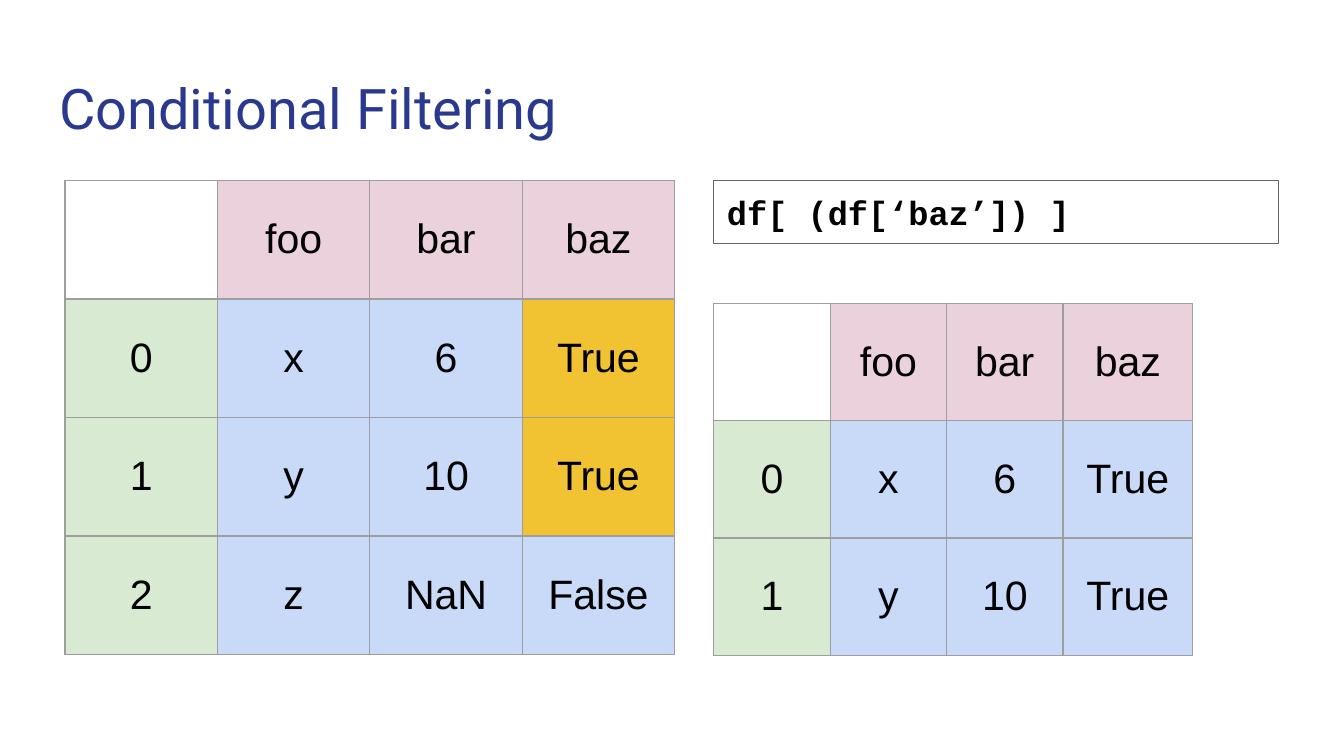
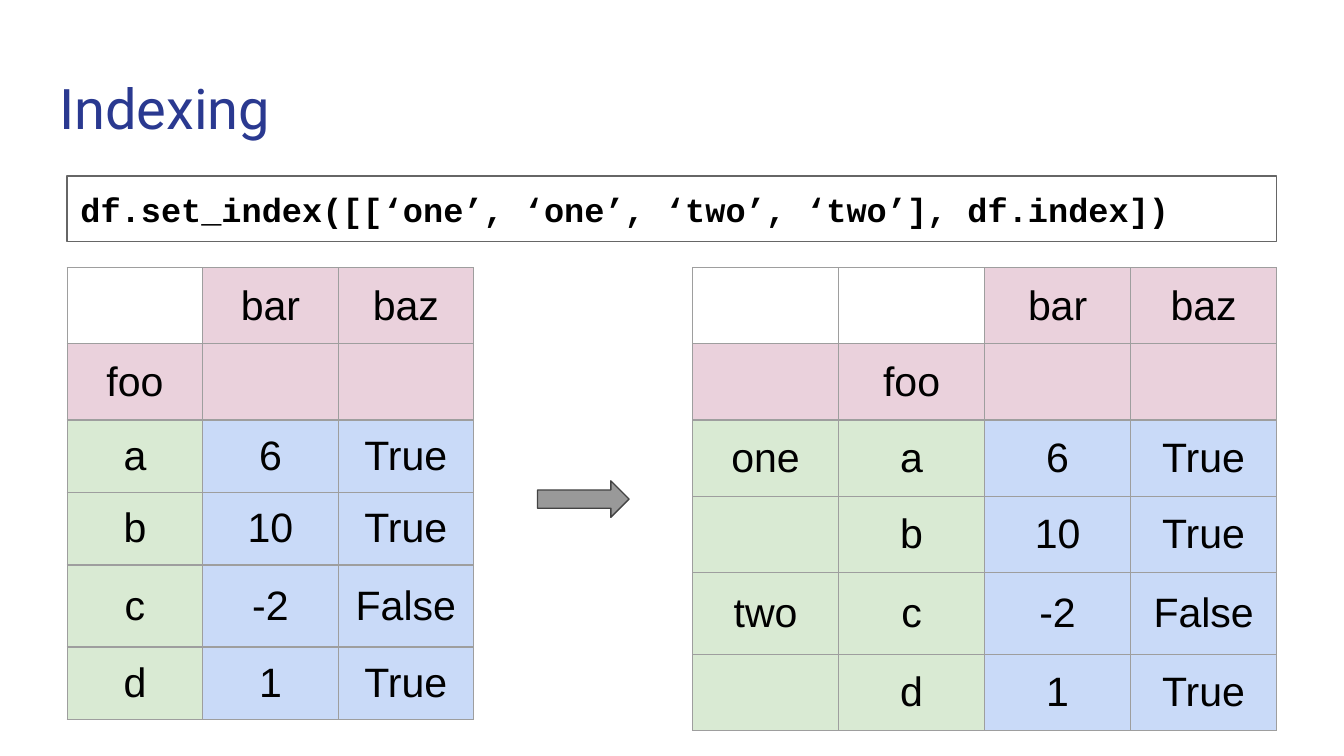
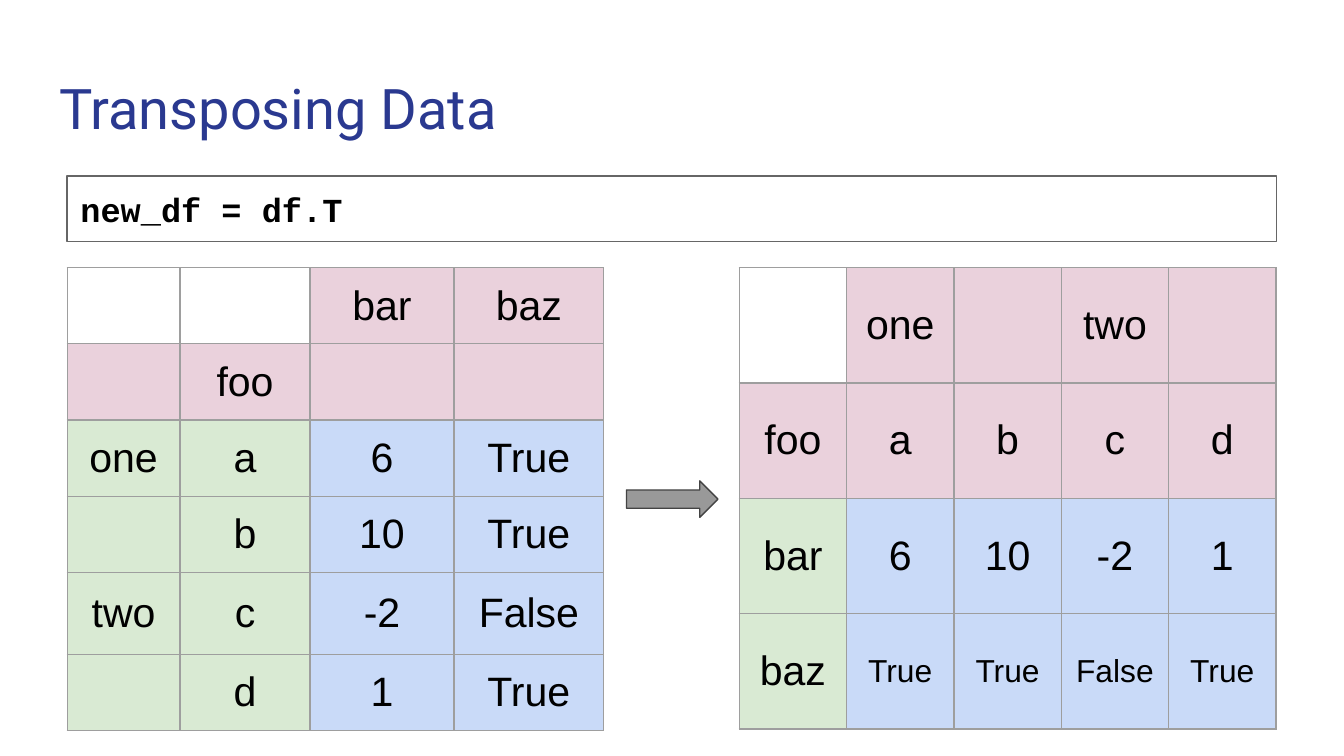
from lxml import etree
from pptx import Presentation
from pptx.dml.color import RGBColor
from pptx.enum import shapes, text
from pptx.oxml import ns
from pptx.util import Cm, Pt

PINK, GREEN, BLUE, GOLD, WHITE = "EAD1DC", "D9EAD3", "C9DAF8", "F1C232", "FFFFFF"
EDGE = "9E9E9E"
PAD = Cm(0.25)
LEFT, TOP = 1.27, 5.06


def paint(part, hue):
    """Give a fill or line format a solid colour."""
    part.solid()
    part.fore_color.rgb = RGBColor.from_string(hue)


def grid(page, left, top, cols, rows, data, heads=1, keys=1):
    """Draw a data frame with header rows and index columns."""
    frame = page.shapes.add_table(len(rows), len(cols), Cm(left), Cm(top),
                                  Cm(sum(cols)), Cm(sum(rows)))
    table = frame.table
    table.first_row = table.horz_banding = False
    for col, wide in zip(table.columns, cols):
        col.width = Cm(wide)
    for row, high in zip(table.rows, rows):
        row.height = Cm(high)
    for r, line in enumerate(data):
        for c, word in enumerate(line):
            cell = table.cell(r, c)
            cell.margin_left = cell.margin_right = PAD
            cell.margin_top = cell.margin_bottom = PAD
            cell.vertical_anchor = text.MSO_ANCHOR.MIDDLE
            # Borders come before the fill in the cell properties
            props = cell._tc.get_or_add_tcPr()
            for side in ("a:lnL", "a:lnR", "a:lnT", "a:lnB"):
                edge = etree.SubElement(props, ns.qn(side), w=str(Pt(0.75)))
                solid = etree.SubElement(edge, ns.qn("a:solidFill"))
                etree.SubElement(solid, ns.qn("a:srgbClr"), val=EDGE)
            if r == 0 and c < keys:
                hue = WHITE
            elif r < heads:
                hue = PINK
            else:
                hue = GREEN if c < keys else BLUE
            paint(cell.fill, hue)
            if word:
                cell.text_frame.text = word
                para = cell.text_frame.paragraphs[0]
                para.alignment = text.PP_ALIGN.CENTER
                font = para.runs[0].font
                font.name, font.size = "Arial", Pt(22)
                paint(font.fill, "000000")
    return frame


deck = Presentation()
deck.slide_width, deck.slide_height = Cm(25.4), Cm(14.29)

# Title, code, code box (left, top, width, height), arrow left
plans = [
    ("Conditional Filtering", "df[ (df[‘baz’]) ]", (13.49, 3.41, 10.67, 1.19), None),
    ("Indexing", "df.set_index([[‘one’, ‘one’, ‘two’, ‘two’], df.index])",
     (LEFT, 3.33, 22.86, 1.24), 10.16),
    ("Transposing Data", "new_df = df.T", (LEFT, 3.33, 22.86, 1.24), 11.84),
]
pages = []
for title, code, place, start in plans:
    page = deck.slides.add_slide(deck.slide_layouts[5])
    pages.append(page)

    # Title
    head = page.shapes.title
    head.left, head.top, head.width, head.height = Cm(0.87), Cm(1.14), Cm(23.67), Cm(1.68)
    head.text_frame.text = title
    head.text_frame.auto_size = text.MSO_AUTO_SIZE.NONE
    head.text_frame.vertical_anchor = text.MSO_ANCHOR.TOP

    # Code box
    box = page.shapes.add_shape(shapes.MSO_SHAPE.RECTANGLE, *map(Cm, place))
    box.shadow.inherit = False
    box.fill.background()
    paint(box.line.fill, "666666")
    box.line.width = Pt(0.75)
    box.text_frame.text = code
    box.text_frame.vertical_anchor = text.MSO_ANCHOR.MIDDLE

    for shape, name, size, hue, bold in ((head, "Roboto", 30, "2A3990", False),
                                         (box, "Courier New", 18, "000000", True)):
        body = shape.text_frame
        body.word_wrap = True
        body.margin_left = body.margin_right = PAD
        body.margin_top = body.margin_bottom = PAD
        body.paragraphs[0].alignment = text.PP_ALIGN.LEFT
        font = body.paragraphs[0].runs[0].font
        font.name, font.size, font.bold = name, Pt(size), bold
        paint(font.fill, hue)

    # Arrow between the tables
    if start:
        arrow = page.shapes.add_shape(shapes.MSO_SHAPE.RIGHT_ARROW, Cm(start), Cm(9.09),
                                      Cm(1.73), Cm(0.69))
        arrow.shadow.inherit = False
        paint(arrow.fill, "999999")
        paint(arrow.line.fill, "434343")
        arrow.line.width = Pt(0.75)

first, second, third = pages

# Conditional filtering: all rows, then the rows that are true
full = [("", "foo", "bar", "baz"), ("0", "x", "6", "True"),
        ("1", "y", "10", "True"), ("2", "z", "NaN", "False")]
frame = grid(first, 1.23, 3.41, [2.88] * 4, [2.24] * 4, full)
for r in (1, 2):
    paint(frame.table.cell(r, 3).fill, GOLD)
grid(first, 13.49, 5.73, [2.2] * 3 + [2.45], [2.22] * 3, full[:3])

# Indexing: one index level, then two
flat = [("", "bar", "baz"), ("foo", "", ""), ("a", "6", "True"),
        ("b", "10", "True"), ("c", "-2", "False"), ("d", "1", "True")]
outer = ("", "", "one", "", "two", "")
deep = [(key,) + line for key, line in zip(outer, flat)]
rows = [1.44] * 4 + [1.55, 1.44]
frame = grid(second, LEFT, TOP, [2.56] * 3, [1.44, 1.44, 0.94, 0.94, 1.55, 0.94], flat, heads=2)
frame.height = Cm(8.74)
grid(second, 13.09, TOP, [2.76] * 4, rows, deep, heads=2, keys=2)

# Transposing: rows become columns
grid(third, LEFT, TOP, [2.13, 2.46, 2.72, 2.83], rows, deep, heads=2, keys=2)
turned = [outer[1:], ("foo", "a", "b", "c", "d"), ("bar", "6", "10", "-2", "1"),
          ("baz", "True", "True", "False", "True")]
frame = grid(third, 13.97, TOP, [2.03] * 5, [2.18] * 4, turned, heads=2)
for c in range(1, 5):
    frame.table.cell(3, c).text_frame.paragraphs[0].runs[0].font.size = Pt(17)

deck.save("out.pptx")
